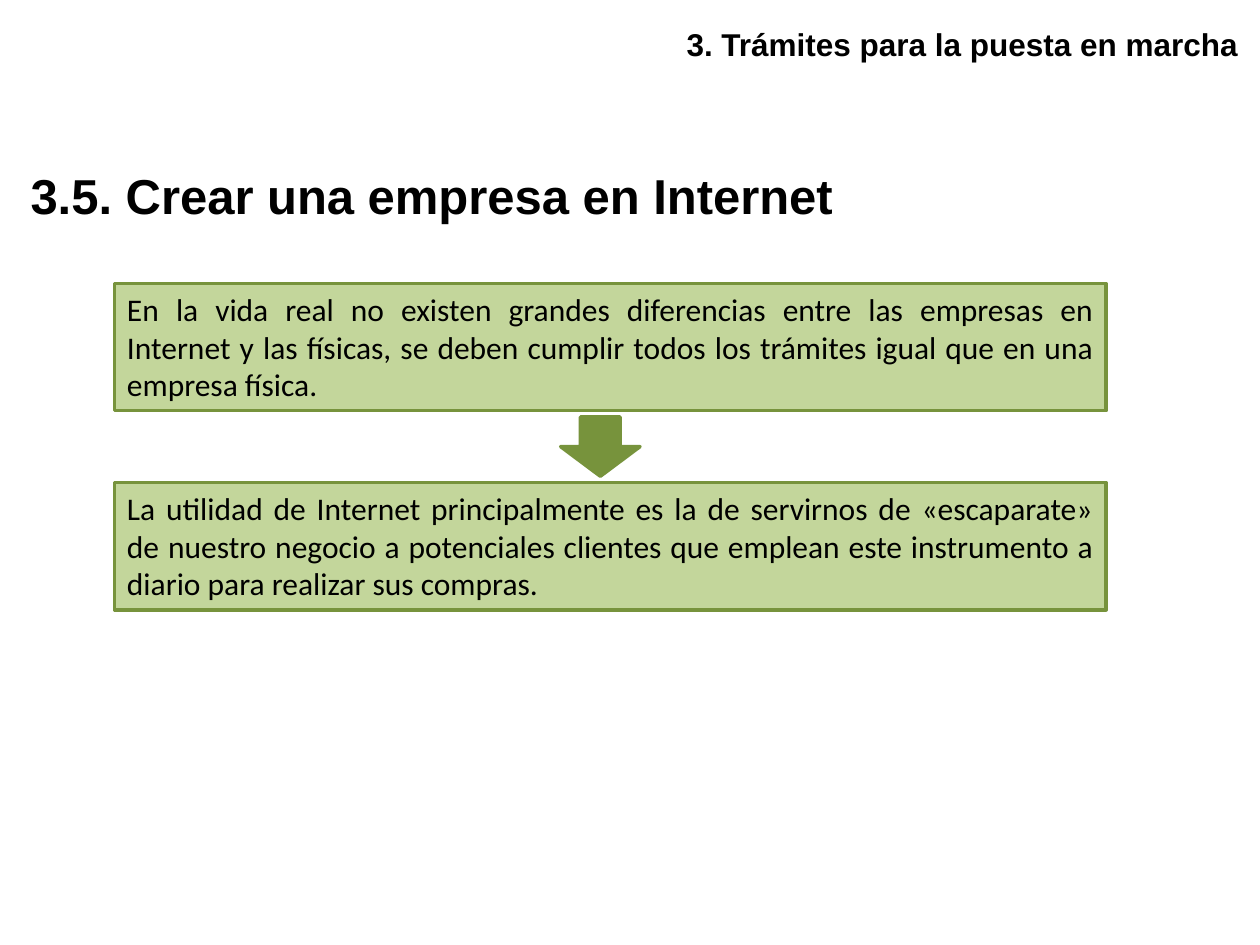
"""Build the slide about creating a company on the Internet."""
import pptx
import pptx.dml.color
import pptx.enum.shapes
import pptx.enum.text
import pptx.util

Inches = pptx.util.Inches
SHAPES = pptx.enum.shapes.MSO_SHAPE
ALIGN = pptx.enum.text.PP_ALIGN
ANCHOR = pptx.enum.text.MSO_ANCHOR
AUTO_SIZE = pptx.enum.text.MSO_AUTO_SIZE

COLORS = {"text": "000000", "paper": "FFFFFF", "panel": "C3D69B", "accent": "77933C"}
HEADER = "3. Trámites para la puesta en marcha"
TITLE = "3.5. Crear una empresa en Internet"
STATEMENTS = [
    "En la vida real no existen grandes diferencias entre las empresas en Internet "
    "y las físicas, se deben cumplir todos los trámites igual que en una empresa física.",
    "La utilidad de Internet principalmente es la de servirnos de «escaparate» de nuestro "
    "negocio a potenciales clientes que emplean este instrumento a diario para realizar sus compras.",
]
HEADER_FONT = {"name": "Arial", "size": pptx.util.Pt(18), "bold": True}
TITLE_FONT = {"name": "Arial", "size": pptx.util.Pt(28), "bold": True}
BODY_FONT = {"name": "Calibri", "size": pptx.util.Pt(18), "bold": False}

PANEL_LEFT, PANEL_TOP, PANEL_WIDTH, PANEL_HEIGHT = 0.91, 2.25, 7.87, 1.01
PANEL_STEP = 1.58
ARROW_LEFT, ARROW_WIDTH, ARROW_HEIGHT = 4.45, 0.63, 0.47


def color(name):
    return pptx.dml.color.RGBColor.from_string(COLORS[name])


def add_box(page, kind, place, fill, line=None):
    box = page.shapes.add_shape(kind, *map(Inches, place))
    box.shadow.inherit = False
    box.fill.solid()
    box.fill.fore_color.rgb = color(fill)
    if line:
        box.line.color.rgb = color(line)
        box.line.width = pptx.util.Pt(2)
    else:
        box.line.fill.background()
    return box


def write(box, text, font, align=ALIGN.LEFT, **frame_format):
    for name, value in {"word_wrap": True, **frame_format}.items():
        setattr(box.text_frame, name, value)
    para = box.text_frame.paragraphs[0]
    para.alignment = align
    span = para.add_run()
    span.text = text
    for name, value in font.items():
        setattr(span.font, name, value)
    span.font.color.rgb = color("text")


def main():
    deck = pptx.Presentation()
    deck.slide_width, deck.slide_height = Inches(10), Inches(7.5)
    page = deck.slides.add_slide(deck.slide_layouts[6])

    header = page.shapes.add_textbox(*map(Inches, (5.35, 0.16, 4.65, 0.37)))
    write(header, HEADER, HEADER_FONT, vertical_anchor=ANCHOR.MIDDLE)

    for index, statement in enumerate(STATEMENTS):
        top = PANEL_TOP + index * PANEL_STEP
        place = (PANEL_LEFT, top, PANEL_WIDTH, PANEL_HEIGHT)
        panel = add_box(page, SHAPES.RECTANGLE, place, "panel", "accent")
        write(panel, statement, BODY_FONT, ALIGN.JUSTIFY,
              vertical_anchor=ANCHOR.TOP, auto_size=AUTO_SIZE.SHAPE_TO_FIT_TEXT)

    gap = PANEL_STEP - PANEL_HEIGHT
    arrow_top = PANEL_TOP + PANEL_HEIGHT + (gap - ARROW_HEIGHT) / 2
    add_box(page, SHAPES.DOWN_ARROW,
            (ARROW_LEFT, arrow_top, ARROW_WIDTH, ARROW_HEIGHT), "accent", "accent")

    title = add_box(page, SHAPES.ROUNDED_RECTANGLE, (0.12, 1.3, PANEL_WIDTH, 0.5), "paper")
    write(title, TITLE, TITLE_FONT, vertical_anchor=ANCHOR.MIDDLE)

    deck.save("out.pptx")


if __name__ == "__main__":
    main()
